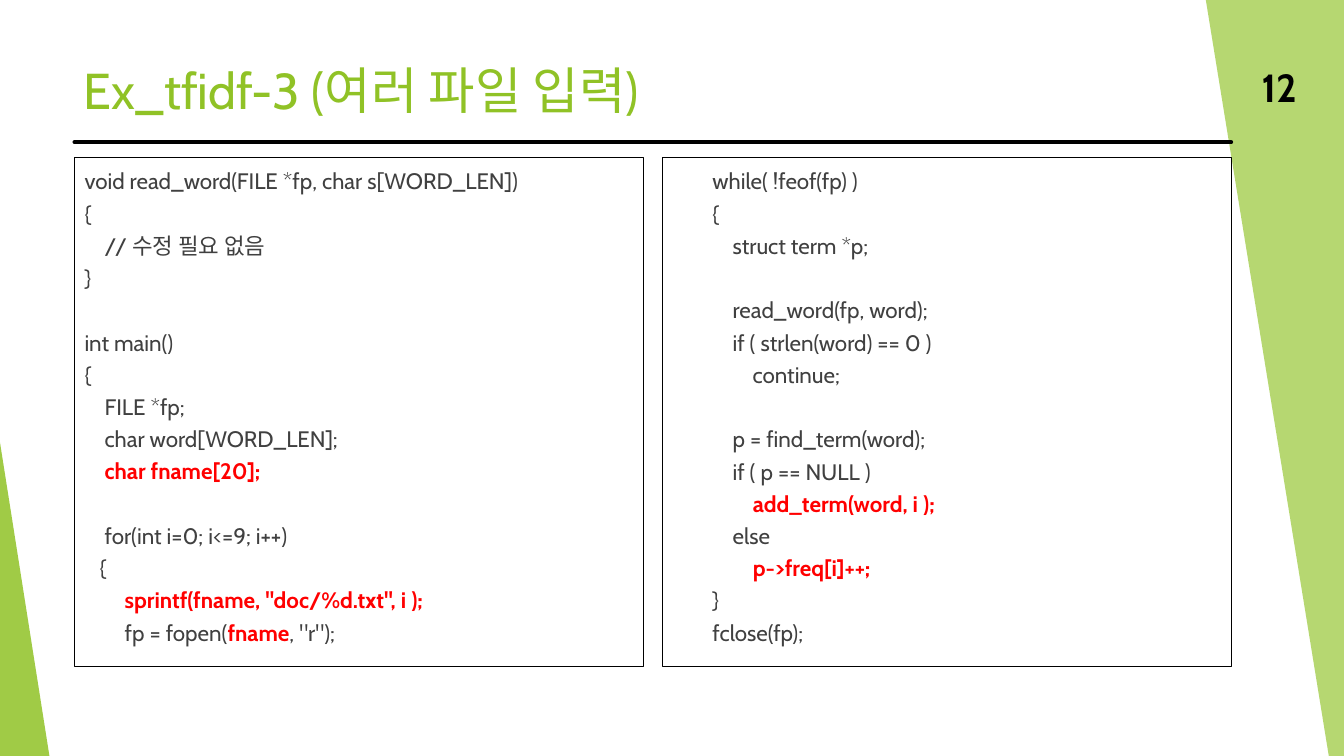
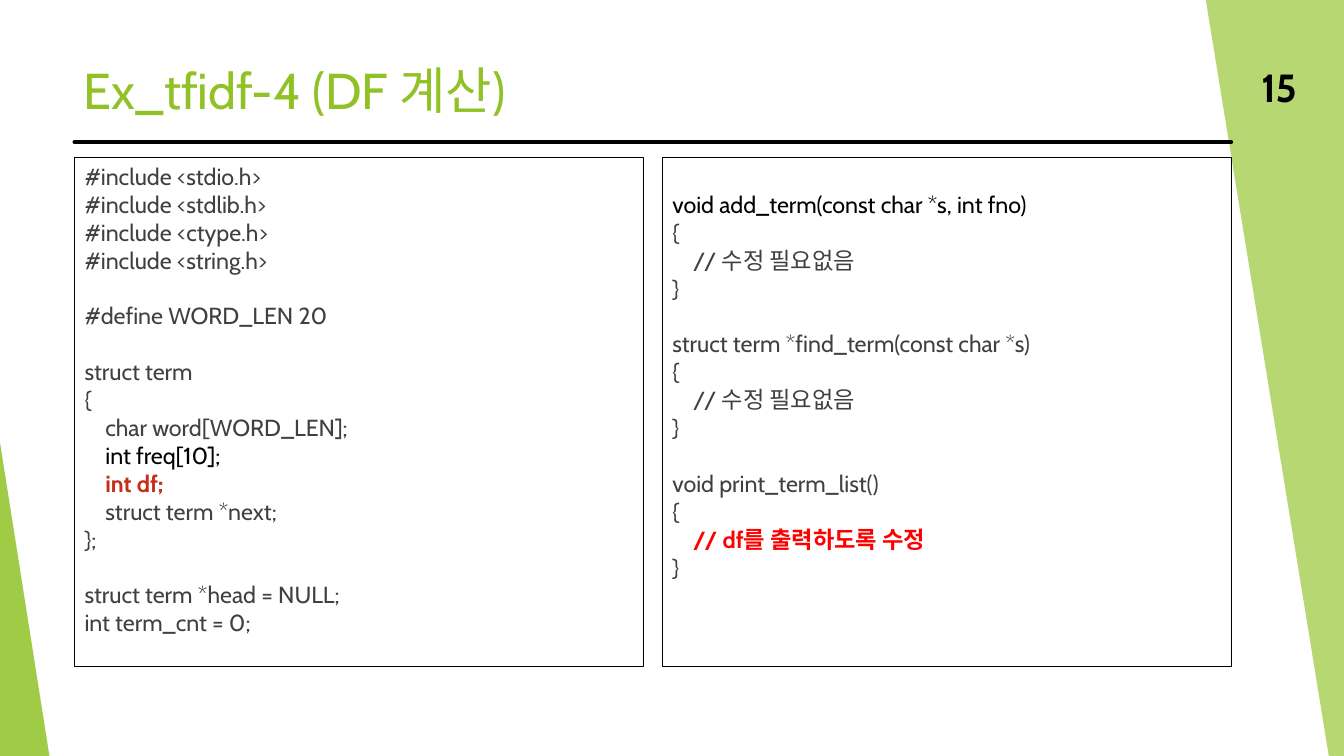
from lxml.etree import SubElement
from pptx import Presentation
from pptx.dml.color import RGBColor
from pptx.enum.shapes import MSO_CONNECTOR, MSO_SHAPE
from pptx.enum.text import MSO_ANCHOR, PP_ALIGN
from pptx.oxml.ns import qn
from pptx.util import Inches, Pt

COLORS = {"green": "90C226", "text": "404040", "black": "000000",
          "red": "FF0000", "rust": "C42F1A"}
FONT = "Cabin"
SLIDE_WIDTH, SLIDE_HEIGHT = 13.33, 7.5
LEFT, TOP = 0.74, 1.56
PANEL_WIDTH, PANEL_HEIGHT, PANEL_GAP = 5.64, 5.05, 0.19
INSET = 0.05
LINE_HEIGHT = 1.2  # height of a single-spaced line, in font sizes

STYLES = {
    "plain": {"color": "text", "bold": False},
    "strong": {"color": "black", "bold": False},
    "alert": {"color": "red", "bold": True},
    "new": {"color": "rust", "bold": True},
}


def rgb(name):
    return RGBColor.from_string(COLORS[name])


def set_font(font, color, **values):
    for name, value in {"name": FONT, **values}.items():
        setattr(font, name, value)
    font.color.rgb = rgb(color)


def set_frame(frame, **values):
    for name, value in {"word_wrap": True, **values}.items():
        setattr(frame, name, value)


def fill_tint(shape, percent):
    """Green fill at the given opacity, without an outline."""
    shape.shadow.inherit = False
    shape.line.fill.background()
    shape.fill.solid()
    shape.fill.fore_color.rgb = rgb("green")
    color = shape._element.spPr.find(qn("a:solidFill"))[0]
    SubElement(color, qn("a:alpha")).set("val", str(percent * 1000))


def add_decoration(slide):
    # Slanted band on the right
    builder = slide.shapes.build_freeform(Inches(11.96), 0)
    builder.add_line_segments([
        (Inches(SLIDE_WIDTH), 0),
        (Inches(SLIDE_WIDTH), Inches(SLIDE_HEIGHT)),
        (Inches(13.18), Inches(SLIDE_HEIGHT)),
    ], close=True)
    fill_tint(builder.convert_to_shape(), 65)

    # Wedge in the lower left corner
    wedge = slide.shapes.add_shape(
        MSO_SHAPE.ISOSCELES_TRIANGLE,
        0, Inches(4.39), Inches(0.49), Inches(3.11))
    wedge.adjustments[0] = 0
    fill_tint(wedge, 85)

    # Rule under the title
    right = LEFT + 2 * PANEL_WIDTH + PANEL_GAP
    rule = slide.shapes.add_connector(
        MSO_CONNECTOR.STRAIGHT,
        Inches(LEFT), Inches(1.41), Inches(right), Inches(1.41))
    rule.line.color.rgb = rgb("black")
    rule.line.width = Pt(3)
    properties = rule._element.spPr
    properties.find(qn("a:ln")).set("cap", "rnd")
    SubElement(properties, qn("a:effectLst"))


def add_title(slide, text):
    title = slide.shapes.title
    box = {"left": 0.73, "top": 0.49, "width": 11.12, "height": 0.8}
    for name, value in box.items():
        setattr(title, name, Inches(value))
    title.text = text
    set_frame(title.text_frame, vertical_anchor=MSO_ANCHOR.MIDDLE)
    paragraph = title.text_frame.paragraphs[0]
    paragraph.alignment = PP_ALIGN.LEFT
    set_font(paragraph.runs[0].font, "green", size=Pt(36))


def add_page_number(slide, number):
    box = slide.shapes.add_textbox(
        Inches(12.21), Inches(0.66), Inches(0.75), Inches(0.4))
    set_frame(box.text_frame, vertical_anchor=MSO_ANCHOR.MIDDLE)
    paragraph = box.text_frame.paragraphs[0]
    paragraph.alignment = PP_ALIGN.RIGHT
    run = paragraph.add_run()
    run.text = str(number)
    set_font(run.font, "black", size=Pt(28), bold=True)


def add_code_panel(slide, left, top, width, height, lines, size, spacing):
    """Framed code; an empty line becomes space before the next one."""
    panel = slide.shapes.add_shape(
        MSO_SHAPE.RECTANGLE,
        Inches(left), Inches(top), Inches(width), Inches(height))
    panel.shadow.inherit = False
    panel.fill.background()
    panel.line.color.rgb = rgb("black")
    panel.line.width = Pt(0.75)

    frame = panel.text_frame
    line_height = Pt(size * LINE_HEIGHT * spacing)
    set_frame(frame, vertical_anchor=MSO_ANCHOR.TOP, margin_top=Inches(INSET))
    paragraph, gap = None, 0
    for line in lines:
        if not line:
            gap += line_height
            continue
        if paragraph is None:
            paragraph = frame.paragraphs[0]
            frame.margin_top = Inches(INSET) + gap
        else:
            paragraph = frame.add_paragraph()
            paragraph.space_before = gap
        gap = 0
        paragraph.alignment = PP_ALIGN.LEFT
        paragraph.line_spacing = spacing
        for part in [line] if isinstance(line, str) else line:
            text, style = (part, "plain") if isinstance(part, str) else part
            run = paragraph.add_run()
            run.text = text
            set_font(run.font, size=Pt(size), **STYLES[style])


def add_code_slide(presentation, title, number, panels, size, spacing):
    slide = presentation.slides.add_slide(presentation.slide_layouts[5])
    add_decoration(slide)
    add_title(slide, title)
    for column, lines in enumerate(panels):
        left = LEFT + column * (PANEL_WIDTH + PANEL_GAP)
        add_code_panel(slide, left, TOP, PANEL_WIDTH, PANEL_HEIGHT,
                       lines, size, spacing)
    add_page_number(slide, number)


READ_FILES = [
    "void read_word(FILE *fp, char s[WORD_LEN])",
    "{",
    "    // 수정 필요 없음",
    "}",
    "",
    "int main()",
    "{",
    "    FILE *fp;",
    "    char word[WORD_LEN];",
    ["    ", ("char fname[20];", "alert")],
    "",
    "    for(int i=0; i<=9; i++)",
    "   {",
    ["        ", ('sprintf(fname, "doc/%d.txt", i );', "alert")],
    ["        fp = fopen(", ("fname", "alert"), ', "r");'],
]
COUNT_WORDS = [
    "        while( !feof(fp) )",
    "        {",
    "            struct term *p;",
    "",
    "            read_word(fp, word);",
    "            if ( strlen(word) == 0 )",
    "                continue;",
    "",
    "            p = find_term(word);",
    "            if ( p == NULL )",
    ["                ", ("add_term(word, i );", "alert")],
    "            else",
    ["                ", ("p->freq[i]++;", "alert")],
    "        }",
    "        fclose(fp);",
]
DECLARATIONS = [
    "#include <stdio.h>",
    "#include <stdlib.h>",
    "#include <ctype.h>",
    "#include <string.h>",
    "",
    "#define WORD_LEN 20",
    "",
    "struct term",
    "{",
    "    char word[WORD_LEN];",
    ["    ", ("int freq[10];", "strong")],
    ["    ", ("int df;", "new")],
    "    struct term *next;",
    "};",
    "",
    "struct term *head = NULL;",
    "int term_cnt = 0;",
]
TERM_FUNCTIONS = [
    "",
    [("void add_term(const char *s, int fno)", "strong")],
    "{",
    "    // 수정 필요없음",
    "}",
    "",
    "struct term *find_term(const char *s)",
    "{",
    "    // 수정 필요없음",
    "}",
    "",
    "void print_term_list()",
    "{",
    [("    // df를 출력하도록 수정", "alert")],
    "}",
]


def main():
    presentation = Presentation()
    presentation.slide_width = Inches(SLIDE_WIDTH)
    presentation.slide_height = Inches(SLIDE_HEIGHT)
    add_code_slide(presentation, "Ex_tfidf-3 (여러 파일 입력)", 12,
                   [READ_FILES, COUNT_WORDS], size=16, spacing=1.2)
    add_code_slide(presentation, "Ex_tfidf-4 (DF 계산)", 15,
                   [DECLARATIONS, TERM_FUNCTIONS], size=16.6, spacing=1.0)
    presentation.save("out.pptx")


if __name__ == "__main__":
    main()
